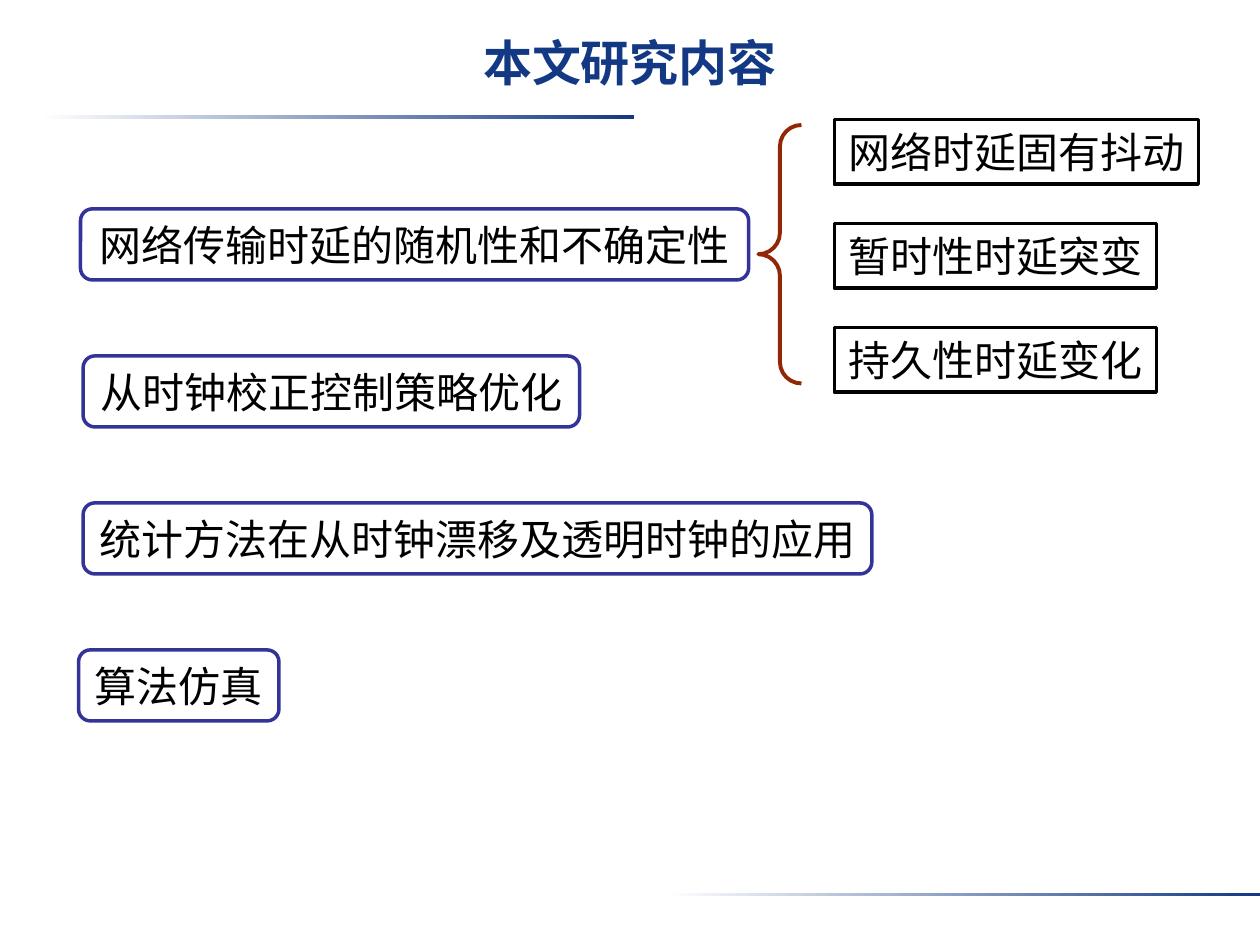
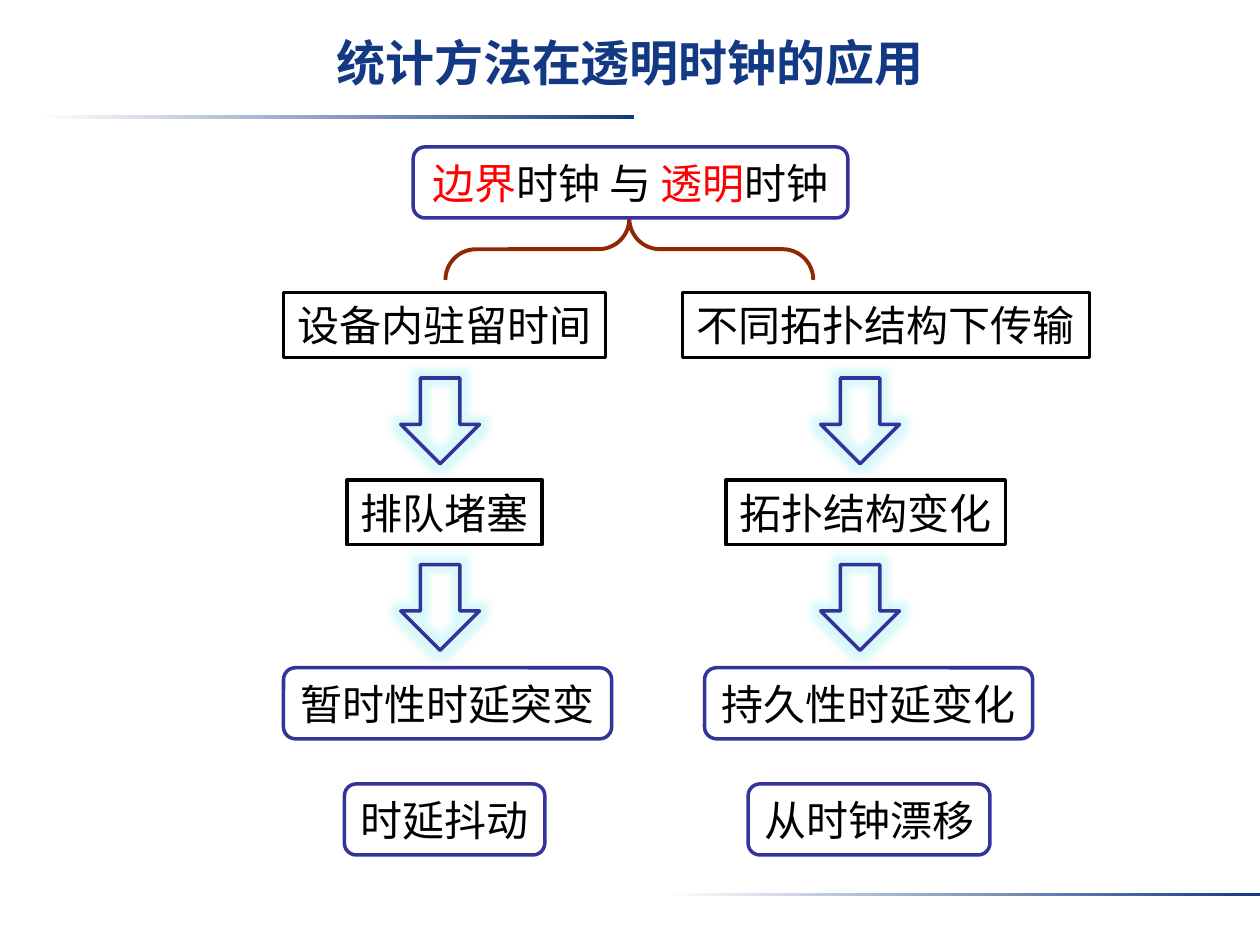
from lxml.etree import SubElement
from pptx import Presentation
from pptx.dml.color import RGBColor
from pptx.enum.shapes import MSO_SHAPE as Preset
from pptx.enum.text import MSO_ANCHOR as Anchor, MSO_AUTO_SIZE as AutoSize, PP_ALIGN as Align
from pptx.oxml.ns import qn
from pptx.util import Pt

COLORS = {
    "white": "FFFFFF",
    "navy": "133984",
    "indigo": "333399",
    "brown": "922706",
    "black": "000000",
    "red": "FF0000",
    "glow": "A0F0F5",
}
TITLE_FONT = {"name": "Arial", "size": Pt(28), "bold": True}
BODY_FONT = {"name": "Arial", "size": Pt(24), "bold": False}
TITLE_FRAME = {"word_wrap": True, "vertical_anchor": Anchor.TOP, "margin_top": Pt(4.3)}
BOX_FRAME = {
    "word_wrap": False,
    "vertical_anchor": Anchor.MIDDLE,
    "auto_size": AutoSize.SHAPE_TO_FIT_TEXT,
}
RULES = [(22.5, 65.7), (380, 510)]
RULE_WIDTH, RULE_HEIGHT = 340, 2.3
PLAIN_HEIGHT, ROUND_HEIGHT = 36.9, 40.6
ARROW_WIDTH, ARROW_HEIGHT = 45, 49


def color(name):
    return RGBColor.from_string(COLORS[name])


def apply_format(target, values):
    for name, value in values.items():
        setattr(target, name, value)


class Deck:
    def __init__(self, width, height):
        self.presentation = Presentation()
        apply_format(self.presentation, {"slide_width": Pt(width), "slide_height": Pt(height)})
        self.slide = None

    def new_slide(self, title):
        layout = self.presentation.slide_layouts[6]
        self.slide = self.presentation.slides.add_slide(layout)
        for left, top in RULES:
            self.rule(left, top)
        text_box = self.slide.shapes.add_textbox(Pt(0), Pt(14.4), Pt(720), Pt(54))
        self.add_text(text_box, [(title, "navy")], TITLE_FONT, TITLE_FRAME)

    def shape(self, preset, left, top, width, height, line=None, weight=2.0, fill=None):
        shape = self.slide.shapes.add_shape(preset, Pt(left), Pt(top), Pt(width), Pt(height))
        shape.shadow.inherit = False
        if fill:
            shape.fill.solid()
            shape.fill.fore_color.rgb = color(fill)
        else:
            shape.fill.background()
        if line:
            shape.line.color.rgb = color(line)
            shape.line.width = Pt(weight)
        else:
            shape.line.fill.background()
        return shape

    def rule(self, left, top):
        shape = self.shape(Preset.RECTANGLE, left, top, RULE_WIDTH, RULE_HEIGHT)
        shape.fill.gradient()
        shape.fill.gradient_angle = 0
        for stop, name in zip(shape.fill.gradient_stops, ("white", "navy")):
            stop.color.rgb = color(name)

    def add_text(self, shape, parts, font, frame):
        apply_format(shape.text_frame, frame)
        paragraph = shape.text_frame.paragraphs[0]
        paragraph.alignment = Align.CENTER
        for text, name in parts:
            run = paragraph.add_run()
            run.text = text
            apply_format(run.font, font)
            run.font.color.rgb = color(name)

    def box(self, preset, line, parts, left, top, width, height):
        shape = self.shape(preset, left, top, width, height, line, fill="white")
        if isinstance(parts, str):
            parts = [(parts, "black")]
        self.add_text(shape, parts, BODY_FONT, BOX_FRAME)

    def plain_box(self, parts, left, top, width):
        self.box(Preset.RECTANGLE, "black", parts, left, top, width, PLAIN_HEIGHT)

    def round_box(self, parts, left, top, width, preset=Preset.FLOWCHART_ALTERNATE_PROCESS):
        self.box(preset, "indigo", parts, left, top, width, ROUND_HEIGHT)

    def brace(self, left, top, width, height, rotation=0):
        shape = self.shape(Preset.LEFT_BRACE, left, top, width, height, "brown", 2.25)
        shape.adjustments[0] = 0.5
        shape.rotation = rotation

    def arrow(self, left, top):
        shape = self.shape(Preset.DOWN_ARROW, left, top, ARROW_WIDTH, ARROW_HEIGHT, "indigo")
        effects = shape._element.spPr.find(qn("a:effectLst"))
        glow = SubElement(effects, qn("a:glow"), rad=str(Pt(8)))
        tint = SubElement(glow, qn("a:srgbClr"), val=COLORS["glow"])
        SubElement(tint, qn("a:alpha"), val="40000")


def build_research_content(deck):
    deck.new_slide("本文研究内容")
    deck.brace(433.4, 71.4, 24.6, 147.7)
    topics = [
        ("网络传输时延的随机性和不确定性", 46, 381.8),
        ("从时钟校正控制策略优化", 47.5, 283.7),
        ("统计方法在从时钟漂移及透明时钟的应用", 47.5, 450.7),
        ("算法仿真", 44.9, 114.5),
    ]
    for index, (text, left, width) in enumerate(topics):
        deck.round_box(text, left, 119.4 + 84 * index, width, Preset.ROUNDED_RECTANGLE)
    delays = [("网络时延固有抖动", 208), ("暂时性时延突变", 184), ("持久性时延变化", 184)]
    for index, (text, width) in enumerate(delays):
        deck.plain_box(text, 476.8, 68.4 + 59.4 * index, width)


def build_transparent_clock(deck):
    deck.new_slide("统计方法在透明时钟的应用")
    deck.brace(342.1, 37.3, 35, 210.2, rotation=90)
    clocks = [("边界", "red"), ("时钟 与 ", "black"), ("透明", "red"), ("时钟", "black")]
    deck.round_box(clocks, 236.1, 84, 248.4)
    rows = [
        (deck.plain_box, 167.3, [("设备内驻留时间", 162, 184), ("不同拓扑结构下传输", 390, 232.6)]),
        (deck.plain_box, 274.4, [("排队堵塞", 198.2, 111.6), ("拓扑结构变化", 414.7, 159.8)]),
        (deck.round_box, 381.6, [("暂时性时延突变", 162, 187.5), ("持久性时延变化", 402.6, 187.5)]),
        (deck.round_box, 448, [("时延抖动", 196.8, 114.5), ("从时钟漂移", 427.5, 138.2)]),
    ]
    for draw, top, items in rows:
        for text, left, width in items:
            draw(text, left, top, width)
    for top in (216, 322.6):
        for left in (229, 469):
            deck.arrow(left, top)


def main():
    deck = Deck(720, 540)
    build_research_content(deck)
    build_transparent_clock(deck)
    deck.presentation.save("out.pptx")


if __name__ == "__main__":
    main()
